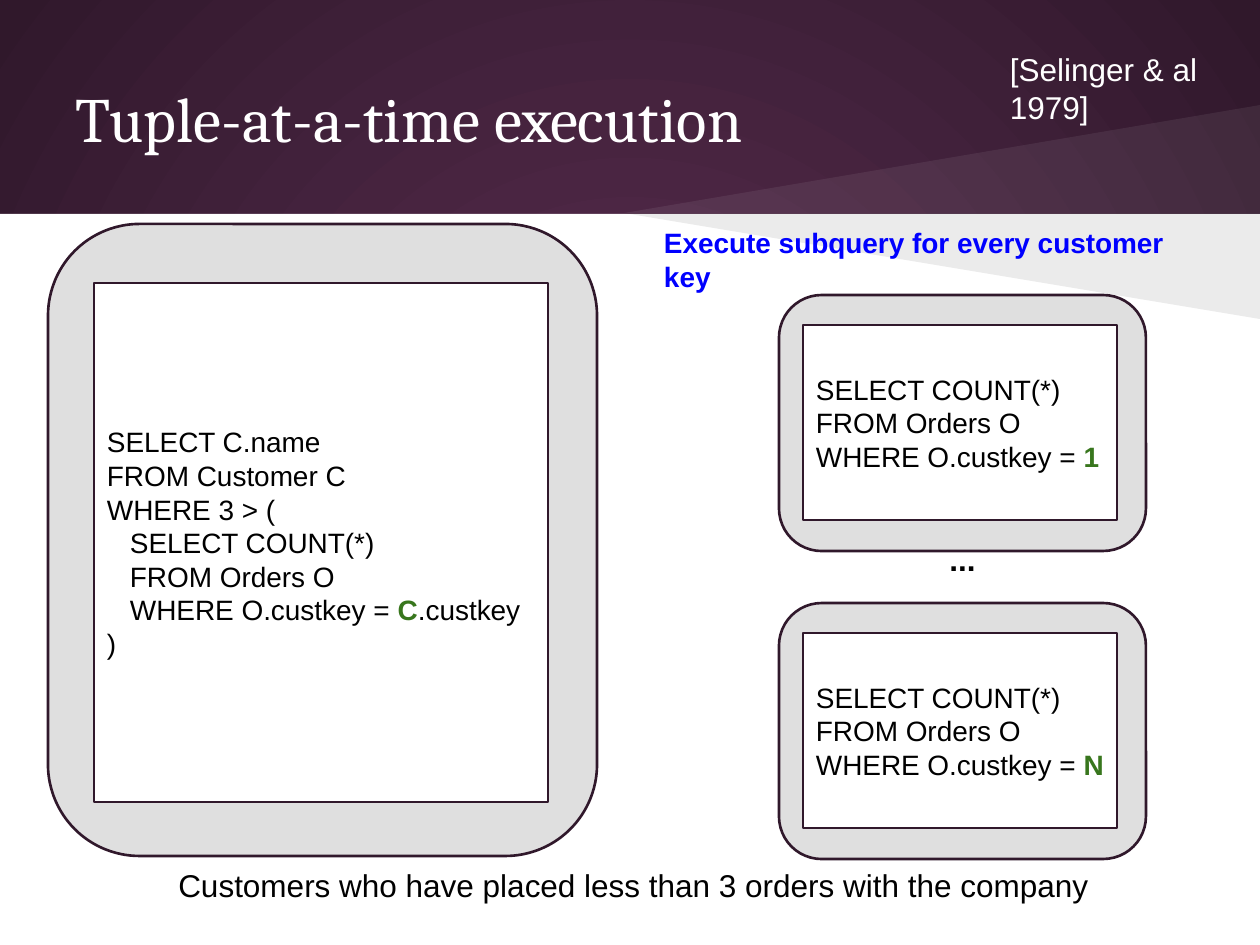
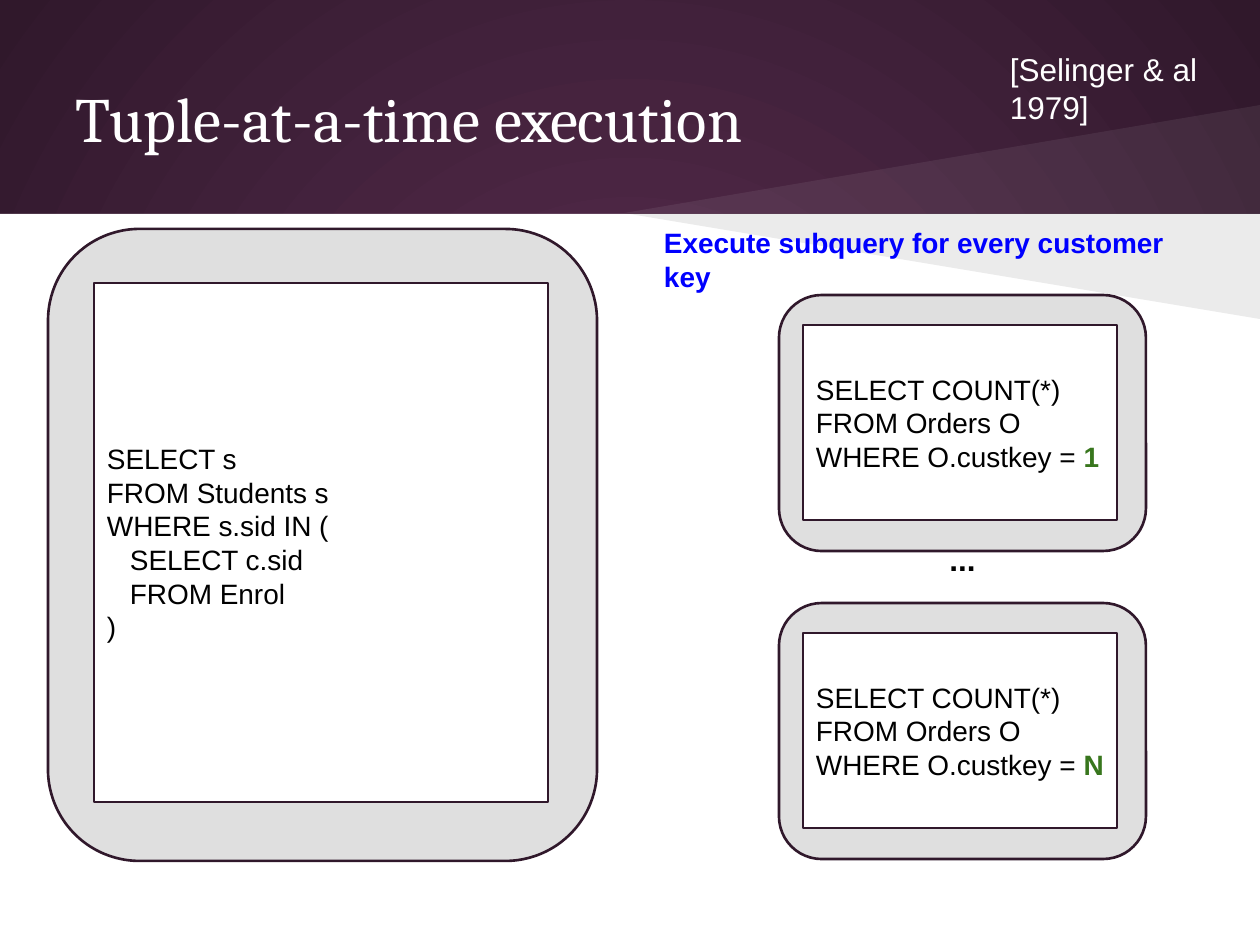
from lxml import etree
from pptx import Presentation
from pptx import util as u
from pptx.dml import color
from pptx.enum import shapes, text
from pptx.oxml import ns

PX = u.Inches(1) / 126
WIDTH, HEIGHT, BAND = 1260, 945, 214
COLORS = {
    "glow": "592D50", "dark": "30182B", "panel": "DFDFDF", "white": "FFFFFF",
    "black": "000000", "key": "38761D", "note": "0000FF",
}
HEAD, BODY = "Cambria", "Arial"
INSET, INDENT = 13, 23
PANEL_TOP, PANEL_PITCH = 295, 308


def px(*lengths):
    return [u.Emu(round(n * PX)) for n in lengths]


def rgb(name):
    return color.RGBColor.from_string(COLORS[name])


class Deck:
    def __init__(self):
        self.prs = Presentation()
        self.prs.slide_width, self.prs.slide_height = px(WIDTH, HEIGHT)
        self.s = None

    def slide(self, title, citation):
        self.s = self.prs.slides.add_slide(self.prs.slide_layouts[6])
        self.background()
        self.box(0, BAND, WIDTH, HEIGHT - BAND, "white", line=None)
        self.wedge(105, "white", 7)
        self.wedge(319, "black", 8)
        self.label(63, 38, 1066, 158, title, 36, "white", font=HEAD, middle=True)
        self.label(997, 37, 249, 97, citation, 18, "white")

    def background(self):
        fill = self.s.background.fill
        fill.gradient()
        for stop, name in zip(fill.gradient_stops, ("glow", "dark")):
            stop.color.rgb = rgb(name)
        grad = self.s.element.find(".//" + ns.qn("a:gradFill"))
        grad.remove(grad.find(ns.qn("a:lin")))
        circle = etree.SubElement(grad, ns.qn("a:path"), path="circle")
        etree.SubElement(circle, ns.qn("a:fillToRect"),
                         l="50000", t="50000", r="50000", b="50000")

    def wedge(self, tip, fill, opacity):
        builder = self.s.shapes.build_freeform(624, BAND - 1, scale=PX)
        builder.add_line_segments([(WIDTH, tip), (WIDTH, BAND - 1)], close=True)
        sp = builder.convert_to_shape()
        self.paint(sp, fill, None)
        tint = sp.element.spPr.find(".//" + ns.qn("a:srgbClr"))
        etree.SubElement(tint, ns.qn("a:alpha"), val=str(opacity * 1000))

    def paint(self, sp, fill, line):
        sp.shadow.inherit = False
        sp.fill.solid()
        sp.fill.fore_color.rgb = rgb(fill)
        if line:
            sp.line.color.rgb = rgb(line)
            sp.line.width = u.Pt(1.5)
        else:
            sp.line.fill.background()

    def box(self, x, y, w, h, fill, line="dark", rounded=False):
        kind = shapes.MSO_SHAPE.ROUNDED_RECTANGLE if rounded else shapes.MSO_SHAPE.RECTANGLE
        sp = self.s.shapes.add_shape(kind, *px(x, y, w, h))
        self.paint(sp, fill, line)
        return sp

    def frame(self, sp, middle):
        tf = sp.text_frame
        tf.word_wrap = True
        tf.margin_left, tf.margin_top, tf.margin_right, tf.margin_bottom = px(*[INSET] * 4)
        tf.vertical_anchor = text.MSO_ANCHOR.MIDDLE if middle else text.MSO_ANCHOR.TOP
        return tf

    def run(self, p, words, size, name, font=BODY, bold=False):
        r = p.add_run()
        r.text = words
        r.font.name, r.font.size, r.font.bold = font, u.Pt(size), bold
        r.font.color.rgb = rgb(name)

    def label(self, x, y, w, h, words, size, name, font=BODY, bold=False,
              align=text.PP_ALIGN.LEFT, middle=False):
        tf = self.frame(self.s.shapes.add_textbox(*px(x, y, w, h)), middle)
        p = tf.paragraphs[0]
        p.alignment = align
        self.run(p, words, size, name, font, bold)

    def code(self, x, y, w, h, lines):
        tf = self.frame(self.box(x, y, w, h, "white"), middle=True)
        for i, line in enumerate(lines):
            p = tf.add_paragraph() if i else tf.paragraphs[0]
            p.alignment = text.PP_ALIGN.LEFT
            if line.startswith("\t"):
                p._p.get_or_add_pPr().set("marL", str(px(INDENT)[0]))
            for j, part in enumerate(line.strip().split("|")):
                is_key = j % 2 == 1
                if part:
                    self.run(p, part, 16, "key" if is_key else "black", bold=is_key)

    def query(self, top, lines):
        self.box(48, top, 549, 632, "panel", rounded=True)
        self.code(94, 283, 454, 519, lines)

    def subqueries(self, heading, keys):
        for i, key in enumerate(keys):
            top = PANEL_TOP + i * PANEL_PITCH
            self.box(779, top, 367, 256, "panel", rounded=True)
            self.code(803, top + 30, 314, 195,
                      ["SELECT COUNT(*)", "FROM Orders O", f"WHERE O.custkey = |{key}|"])
        self.label(779, 527, 367, 111, "...", 18, "black", bold=True,
                   align=text.PP_ALIGN.CENTER)
        self.label(651, 213, 573, 71, heading, 16, "note", bold=True)


CUSTOMER_QUERY = [
    "SELECT C.name", "FROM Customer C", "WHERE 3 > (", "\tSELECT COUNT(*)",
    "\tFROM Orders O", "\tWHERE O.custkey = |C|.custkey", ")",
]
STUDENT_QUERY = [
    "SELECT s", "FROM Students s", "WHERE s.sid IN (", "\tSELECT c.sid",
    "\tFROM Enrol", ")",
]
CAPTION = "Customers who have placed less than 3 orders with the company"

deck = Deck()
for panel_top, query, caption in ((224, CUSTOMER_QUERY, CAPTION), (229, STUDENT_QUERY, None)):
    deck.slide("Tuple-at-a-time execution", "[Selinger & al 1979]")
    deck.query(panel_top, query)
    deck.subqueries("Execute subquery for every customer key", "1N")
    if caption:
        deck.label(32, 853, 1203, 79, caption, 18, "black", align=text.PP_ALIGN.CENTER)
deck.prs.save("out.pptx")
